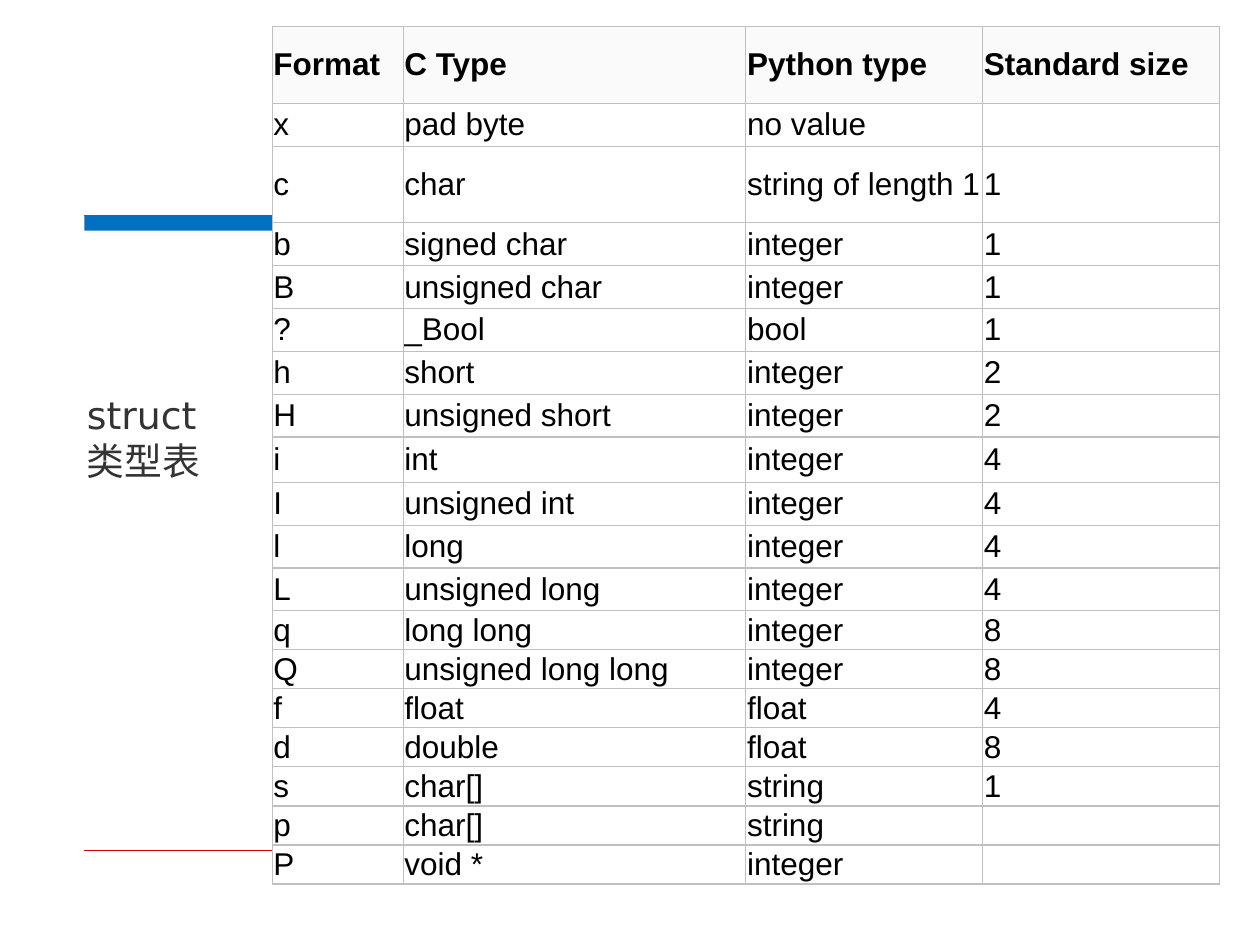
from lxml import etree
from pptx import Presentation, util as u
from pptx.dml.color import RGBColor
from pptx.enum import shapes, text
from pptx.oxml.ns import qn

BLUE = RGBColor(0x00, 0x70, 0xC0)
RED = RGBColor(0xCC, 0x00, 0x00)
BLACK = RGBColor(0x00, 0x00, 0x00)
DARK = RGBColor(0x33, 0x33, 0x33)
GREY = RGBColor(0xC0, 0xC0, 0xC0)
PALE = RGBColor(0xFA, 0xFA, 0xFA)
WHITE = RGBColor(0xFF, 0xFF, 0xFF)

TITLE = "struct 类型表"
ROWS = [
    ("Format", "C Type", "Python type", "Standard size"),
    ("x", "pad byte", "no value", ""),
    ("c", "char", "string of length 1", "1"),
    ("b", "signed char", "integer", "1"),
    ("B", "unsigned char", "integer", "1"),
    ("?", "_Bool", "bool", "1"),
    ("h", "short", "integer", "2"),
    ("H", "unsigned short", "integer", "2"),
    ("i", "int", "integer", "4"),
    ("I", "unsigned int", "integer", "4"),
    ("l", "long", "integer", "4"),
    ("L", "unsigned long", "integer", "4"),
    ("q", "long long", "integer", "8"),
    ("Q", "unsigned long long", "integer", "8"),
    ("f", "float", "float", "4"),
    ("d", "double", "float", "8"),
    ("s", "char[]", "string", "1"),
    ("p", "char[]", "string", ""),
    ("P", "void *", "integer", ""),
]
WIDTHS = [1.04, 2.72, 1.88, 1.88]
HEIGHTS = [0.61, 0.34, 0.61] + [0.34] * 5 + [0.36] + [0.34] * 3 + [0.31] * 7
LEFT, TOP = 2.16, 0.21
SIDES = ("left", "right", "top", "bottom")


def apply(obj, **vals):
    for key, val in vals.items():
        setattr(obj, key, val)


def add_rule(slide, x1, x2, y, color, width):
    line = slide.shapes.add_connector(
        shapes.MSO_CONNECTOR.STRAIGHT, *map(u.Inches, (x1, y, x2, y)))
    line.line.color.rgb = color
    line.line.width = u.Pt(width)
    etree.SubElement(line._element.spPr, qn("a:effectLst"))


def add_borders(cell):
    props = cell._tc.get_or_add_tcPr()
    for i, tag in enumerate(("a:lnL", "a:lnR", "a:lnT", "a:lnB")):
        edge = etree.Element(qn(tag), w=str(u.Pt(0.75)))
        fill = etree.SubElement(edge, qn("a:solidFill"))
        etree.SubElement(fill, qn("a:srgbClr"), val=str(GREY))
        props.insert(i, edge)


def fill_cell(cell, words, head):
    cell.fill.solid()
    cell.fill.fore_color.rgb = PALE if head else WHITE
    cell.vertical_anchor = text.MSO_ANCHOR.MIDDLE
    apply(cell, **{f"margin_{side}": u.Inches(0.01) for side in SIDES})
    para = cell.text_frame.paragraphs[0]
    if words:
        run = para.add_run()
        run.text = words
        apply(run.font, name="Arial", size=u.Pt(18), bold=head)
        run.font.color.rgb = BLACK
    else:
        # A small end mark keeps an empty cell from stretching its row.
        para._p.get_or_add_endParaRPr().set("sz", "1200")
    add_borders(cell)


def add_types(slide):
    frame = slide.shapes.add_table(
        len(ROWS), len(WIDTHS),
        *map(u.Inches, (LEFT, TOP, sum(WIDTHS), sum(HEIGHTS))))
    table = frame.table
    apply(table, first_row=False, horz_banding=False)
    for col, width in zip(table.columns, WIDTHS):
        col.width = u.Inches(width)
    for r, (row, height) in enumerate(zip(ROWS, HEIGHTS)):
        table.rows[r].height = u.Inches(height)
        for c, words in enumerate(row):
            fill_cell(table.cell(r, c), words, r == 0)


def set_title(slide):
    title = slide.shapes.title
    apply(title, left=u.Inches(0.59), top=u.Inches(3.04),
          width=u.Inches(1.42), height=u.Inches(0.84))
    frame = title.text_frame
    frame.text = TITLE
    apply(frame, word_wrap=True, auto_size=text.MSO_AUTO_SIZE.NONE,
          vertical_anchor=text.MSO_ANCHOR.BOTTOM)
    para = frame.paragraphs[0]
    para.alignment = text.PP_ALIGN.LEFT
    font = para.runs[0].font
    apply(font, name="DejaVu Sans", size=u.Pt(21.6))
    font.color.rgb = DARK


def add_bar(slide):
    bar = slide.shapes.add_shape(
        shapes.MSO_SHAPE.RECTANGLE, *map(u.Inches, (0.67, 1.71, 5.09, 0.12)))
    bar.shadow.inherit = False
    bar.fill.solid()
    bar.fill.fore_color.rgb = BLUE
    bar.line.fill.background()
    add_rule(slide, 0.67, 9.37, 1.71, BLUE, 0.75)


def main():
    deck = Presentation()
    apply(deck, slide_width=u.Inches(10), slide_height=u.Inches(7.5))
    slide = deck.slides.add_slide(deck.slide_layouts[5])
    add_bar(slide)
    add_rule(slide, 0.67, 9.33, 6.75, RED, 0.25)
    add_types(slide)
    set_title(slide)
    deck.save("out.pptx")


if __name__ == "__main__":
    main()
